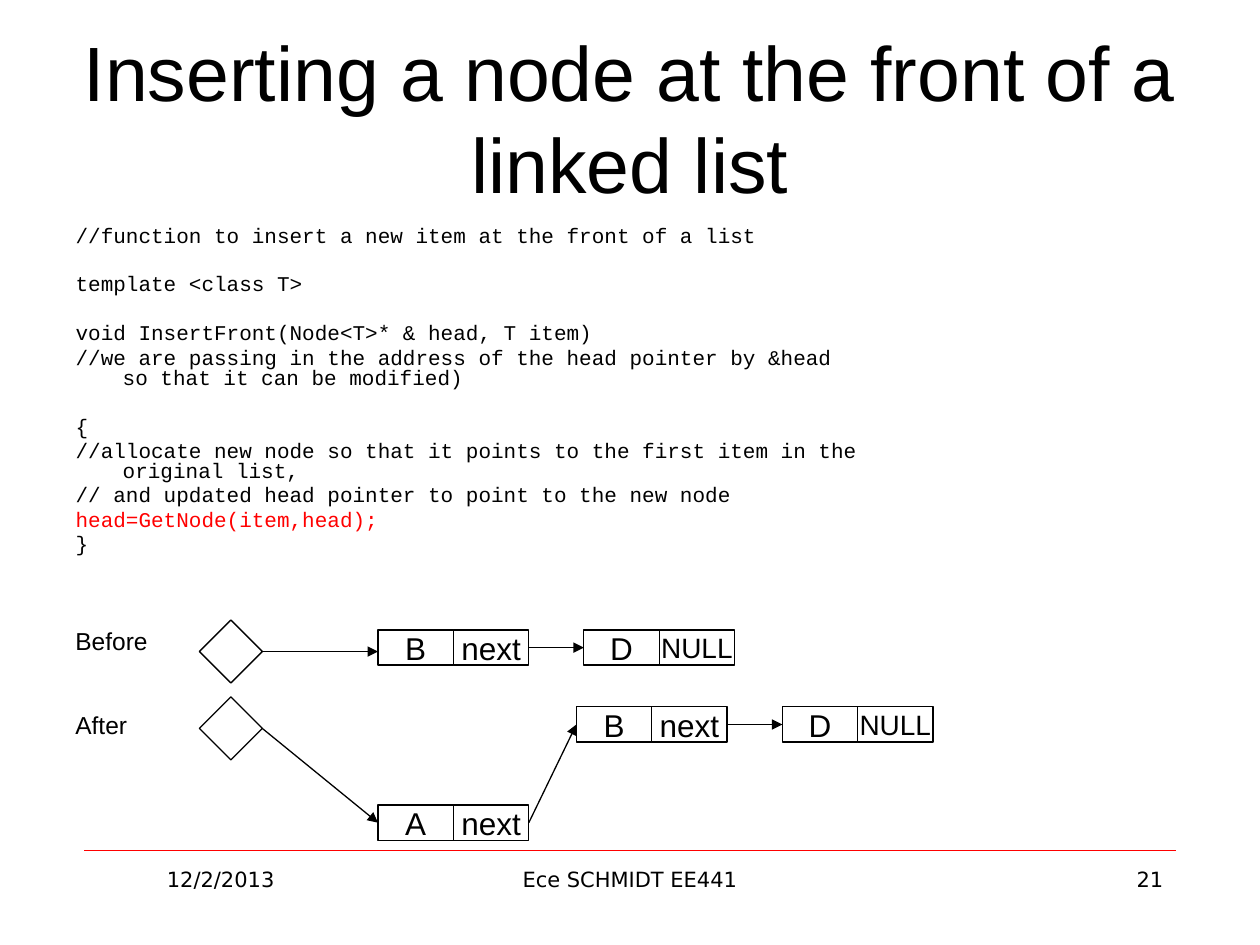
"""Build the slide on inserting a node at the front of a linked list."""
from dataclasses import dataclass

import lxml.etree
import pptx
import pptx.dml.color
import pptx.enum.shapes
import pptx.enum.text
import pptx.oxml.ns
import pptx.util

Cm = pptx.util.Cm
Pt = pptx.util.Pt
ALIGN = pptx.enum.text.PP_ALIGN
ANCHOR = pptx.enum.text.MSO_ANCHOR
SHAPE = pptx.enum.shapes.MSO_SHAPE
qn = pptx.oxml.ns.qn


@dataclass(frozen=True)
class Theme:
    """Colours, fonts and type sizes of the slide."""

    ink: str = "000000"
    accent: str = "FF0000"
    paper: str = "FFFFFF"
    main_font: str = "Arial"
    code_font: str = "Courier New"
    footer_font: str = "DejaVu Sans"
    title_size: float = 44
    node_size: float = 18
    null_size: float = 16
    label_size: float = 14
    small_size: float = 12
    outline: float = 0.75
    hairline: float = 0.25


class ListSlide:
    """Holds the theme and the slide and draws each kind of element."""

    CELL_WIDTH, CELL_HEIGHT, DIAMOND = 1.52, 0.71, 1.27

    def __init__(self, slide, theme):
        self.slide = slide
        self.theme = theme

    def add_text(self, paragraph, text, size, font=None, color=None):
        """Add one formatted run to a paragraph."""
        run = paragraph.add_run()
        run.text = text
        run.font.size = Pt(size)
        run.font.name = font or self.theme.main_font
        run.font.color.rgb = pptx.dml.color.RGBColor.from_string(color or self.theme.ink)

    def place(self, shape, left, top, width, height):
        """Move a placeholder and stop it from shrinking its text."""
        shape.left, shape.top = Cm(left), Cm(top)
        shape.width, shape.height = Cm(width), Cm(height)
        shape.text_frame.auto_size = pptx.enum.text.MSO_AUTO_SIZE.NONE
        shape.text_frame.word_wrap = True
        return shape.text_frame

    def title(self, text, *box):
        """Fill the title placeholder."""
        frame = self.place(self.slide.shapes.title, *box)
        frame.vertical_anchor = ANCHOR.MIDDLE
        frame.paragraphs[0].alignment = ALIGN.CENTER
        self.add_text(frame.paragraphs[0], text, self.theme.title_size)

    def code(self, blocks, *box):
        """Fill the body placeholder with blocks of code set apart by spacing."""
        frame = self.place(self.slide.placeholders[1], *box)
        frame.vertical_anchor = ANCHOR.TOP
        for block_number, block in enumerate(blocks):
            for line_number, line in enumerate(block):
                first = block_number == line_number == 0
                paragraph = frame.paragraphs[0] if first else frame.add_paragraph()
                properties = paragraph._p.get_or_add_pPr()
                properties.set("marL", str(Cm(0.95)))
                properties.set("indent", str(Cm(-0.95)))
                lxml.etree.SubElement(properties, qn("a:buNone"))
                paragraph.line_spacing = 0.8
                paragraph.space_before = Pt(0 if first else 2.4 if line_number else 16.4)
                color = self.theme.accent if line.startswith("head=") else self.theme.ink
                self.add_text(paragraph, line, self.theme.small_size, self.theme.code_font, color)

    def label(self, text, left, top, width, height, size, font=None, align=ALIGN.LEFT):
        """Add a text box with one line."""
        box = self.slide.shapes.add_textbox(Cm(left), Cm(top), Cm(width), Cm(height))
        box.text_frame.word_wrap = True
        box.text_frame.paragraphs[0].alignment = align
        self.add_text(box.text_frame.paragraphs[0], text, size, font)

    def outline(self, shape, color=None, width=None):
        """Give a shape or line a plain outline."""
        shape.line.color.rgb = pptx.dml.color.RGBColor.from_string(color or self.theme.ink)
        shape.line.width = Pt(width or self.theme.outline)

    def pointer(self, left, top):
        """Draw the head pointer as a diamond."""
        side = Cm(self.DIAMOND)
        diamond = self.slide.shapes.add_shape(SHAPE.DIAMOND, Cm(left), Cm(top), side, side)
        diamond.shadow.inherit = False
        diamond.fill.solid()
        diamond.fill.fore_color.rgb = pptx.dml.color.RGBColor.from_string(self.theme.paper)
        self.outline(diamond)

    def node(self, item, link, left, top):
        """Draw a list node as a group of an item cell and a link cell."""
        group = self.slide.shapes.add_group_shape()
        for column, text in enumerate((item, link)):
            cell = group.shapes.add_shape(
                SHAPE.RECTANGLE, Cm(left + column * self.CELL_WIDTH), Cm(top),
                Cm(self.CELL_WIDTH), Cm(self.CELL_HEIGHT))
            cell.shadow.inherit = False
            cell.fill.background()
            self.outline(cell)
            frame = cell.text_frame
            frame.word_wrap = False
            frame.vertical_anchor = ANCHOR.MIDDLE
            frame.paragraphs[0].alignment = ALIGN.CENTER
            size = self.theme.null_size if text == "NULL" else self.theme.node_size
            self.add_text(frame.paragraphs[0], text, size)

    def line(self, start, end, color=None, width=None):
        """Draw a straight line between two points."""
        connector = self.slide.shapes.add_connector(
            pptx.enum.shapes.MSO_CONNECTOR.STRAIGHT, *map(Cm, start + end))
        self.outline(connector, color, width)
        lxml.etree.SubElement(connector._element.spPr, qn("a:effectLst"))
        return connector

    def arrow(self, start, end):
        """Draw a line with a triangle at its end."""
        stroke = self.line(start, end).line._get_or_add_ln()
        lxml.etree.SubElement(stroke, qn("a:tailEnd"), type="triangle")


CODE = (
    ("//function to insert a new item at the front of a list",),
    ("template <class T>",),
    ("void InsertFront(Node<T>* & head, T item)",
     "//we are passing in the address of the head pointer by &head so that it can be modified)"),
    ("{",
     "//allocate new node so that it points to the first item in the original list,",
     "// and updated head pointer to point to the new node",
     "head=GetNode(item,head);",
     "}"),
)


def main():
    """Compose and save the slide."""
    deck = pptx.Presentation()
    deck.slide_width, deck.slide_height = Cm(25.4), Cm(19.05)
    theme = Theme()
    page = ListSlide(deck.slides.add_slide(deck.slide_layouts[1]), theme)

    page.line((1.7, 17.15), (23.7, 17.15), theme.accent, theme.hairline)
    page.title("Inserting a node at the front of a linked list", 1.27, 0.76, 22.86, 3.18)
    page.code(CODE, 1.27, 4.45, 16.3, 7.62)
    for text, left, width, align in (
            ("12/2/2013", 1.7, 5.5, ALIGN.CENTER),
            ("Ece SCHMIDT EE441", 8.68, 8.04, ALIGN.CENTER),
            ("21", 18.2, 5.5, ALIGN.RIGHT)):
        page.label(text, left, 17.35, width, 1.32, theme.small_size, theme.footer_font, align)

    pointer_left, new_left = 4.02, 7.62
    pointer_right = pointer_left + page.DIAMOND
    node_width, middle = 2 * page.CELL_WIDTH, page.CELL_HEIGHT / 2
    node_gap, new_top, after_left, after_top = 1.11, 16.23, 11.62, 14.25
    for state, label_top, pointer_top, left, top in (
            ("Before", 12.5, 12.5, new_left, 12.7),
            ("After", 14.18, 14.05, after_left, after_top)):
        page.label(state, 1.27, label_top, 2.41, 0.84, theme.label_size)
        page.pointer(pointer_left, pointer_top)
        last_left = left + node_width + node_gap
        page.node("B", "next", left, top)
        page.node("D", "NULL", last_left, top)
        page.arrow((left + node_width, top + middle), (last_left, top + middle))
        pointer_middle = pointer_top + page.DIAMOND / 2
        target = pointer_middle if state == "Before" else new_top + middle
        page.arrow((pointer_right, pointer_middle), (new_left, target))

    page.node("A", "next", new_left, new_top)
    page.arrow((new_left + node_width, new_top + middle), (after_left, after_top + middle))
    deck.save("out.pptx")


if __name__ == "__main__":
    main()
